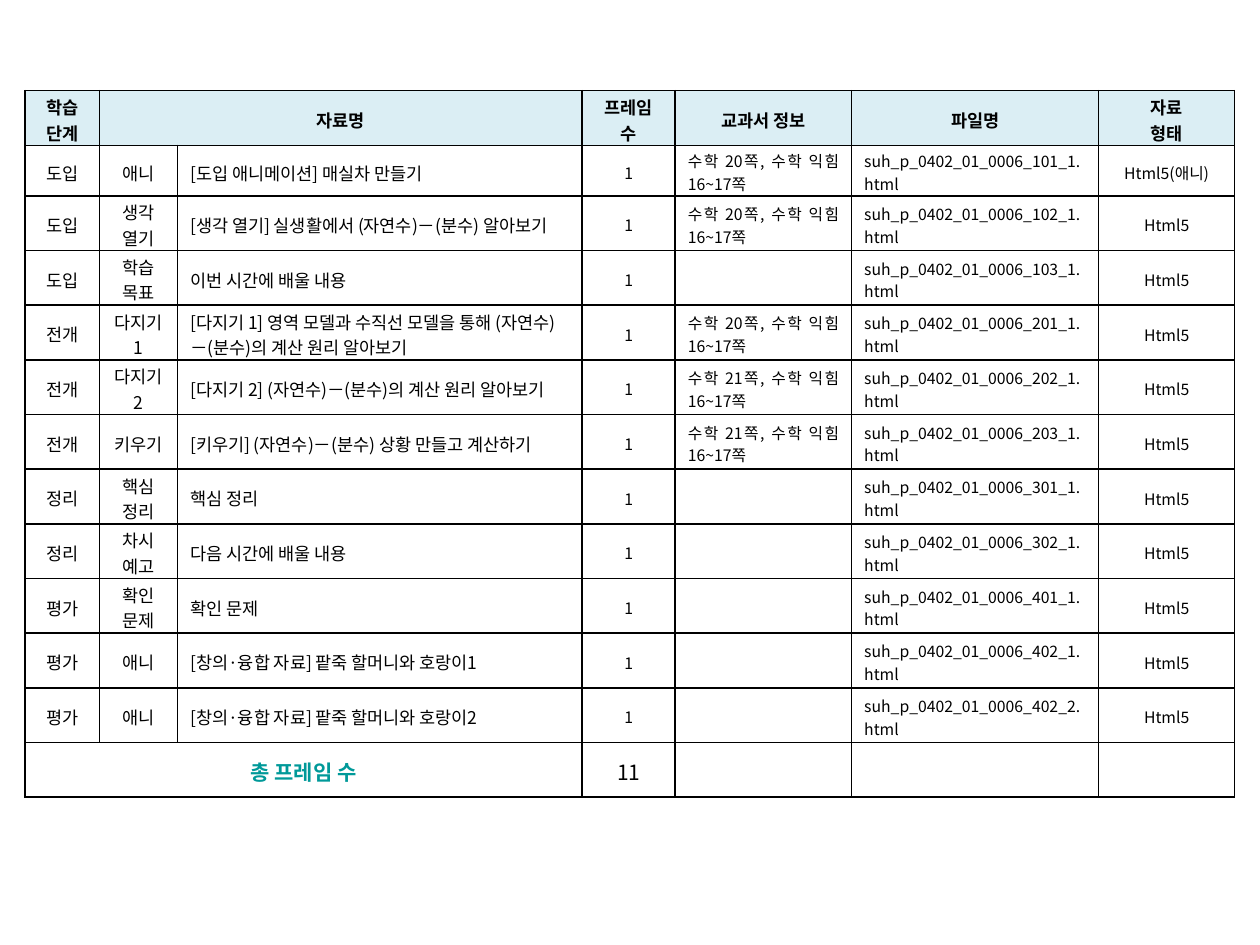
from pptx import Presentation, util as u
from pptx.dml.color import RGBColor
from pptx.enum import text as t
from pptx.oxml import parse_xml
from pptx.oxml.ns import nsdecls

theme = dict(font="Noto Sans CJK KR", ink="000000", teal="009999", head="DBEEF4",
             small=9, base=10, big=12, line=1)
mid, left, just = t.PP_ALIGN.CENTER, t.PP_ALIGN.LEFT, t.PP_ALIGN.JUSTIFY
aligns = [mid, mid, left, mid, just, just, mid]
cols = [0.59, 0.62, 3.21, 0.74, 1.4, 1.96, 1.08]
high, low = 5.61, 0.4

heads = ["학습 단계", "자료명", "", "프레임 수", "교과서 정보", "파일명", "자료\n형태"]
items = [
    ("도입", "애니", "[도입 애니메이션] 매실차 만들기", 20, "101_1"),
    ("도입", "생각 열기", "[생각 열기] 실생활에서 (자연수)－(분수) 알아보기", 20, "102_1"),
    ("도입", "학습 목표", "이번 시간에 배울 내용", None, "103_1"),
    ("전개", "다지기 1",
     "[다지기 1] 영역 모델과 수직선 모델을 통해 (자연수)－(분수)의 계산 원리 알아보기", 20, "201_1"),
    ("전개", "다지기 2", "[다지기 2] (자연수)－(분수)의 계산 원리 알아보기", 21, "202_1"),
    ("전개", "키우기", "[키우기] (자연수)－(분수) 상황 만들고 계산하기", 21, "203_1"),
    ("정리", "핵심 정리", "핵심 정리", None, "301_1"),
    ("정리", "차시 예고", "다음 시간에 배울 내용", None, "302_1"),
    ("평가", "확인 문제", "확인 문제", None, "401_1"),
    ("평가", "애니", "[창의·융합 자료] 팥죽 할머니와 호랑이1", None, "402_1"),
    ("평가", "애니", "[창의·융합 자료] 팥죽 할머니와 호랑이2", None, "402_2"),
]
rows = [heads]
for step, part, name, page, code in items:
    book = f"수학 {page}쪽, 수학 익힘 16~17쪽" if page else ""
    kind = "Html5" if len(rows) > 1 else "Html5(애니)"
    rows.append([step, part, name, "1", book, f"suh_p_0402_01_0006_{code}.html", kind])
rows.append(["총 프레임 수", "", "", str(len(items)), "", "", ""])
last = len(rows) - 1


def edge(cell):
    props = cell._tc.get_or_add_tcPr()
    for i, side in enumerate("LRTB"):
        props.insert(i, parse_xml(
            f'<a:ln{side} {nsdecls("a")} w="{u.Pt(theme["line"])}"><a:solidFill>'
            f'<a:srgbClr val="{theme["ink"]}"/></a:solidFill></a:ln{side}>'))


def write(cell, words, align, size, bold, ink):
    cell.text = words
    for para in cell.text_frame.paragraphs:
        para.alignment = align
        for run in para.runs:
            form = dict(name=theme["font"], size=u.Pt(size), bold=bold)
            for key, val in form.items():
                setattr(run.font, key, val)
            run.font.color.rgb = RGBColor.from_string(ink)
            run._r.get_or_add_rPr().find("{*}latin").addnext(
                parse_xml(f'<a:ea {nsdecls("a")} typeface="{theme["font"]}"/>'))


deck = Presentation()
deck.slide_width, deck.slide_height = u.Inches(10), u.Inches(7.5)
slide = deck.slides.add_slide(deck.slide_layouts[6])
grid = slide.shapes.add_table(len(rows), len(cols), u.Inches(0.2), u.Inches(0.72),
                              u.Inches(sum(cols)), u.Inches(high)).table
grid.first_row = grid.horz_banding = False
for col, wide in zip(grid.columns, cols):
    col.width = u.Inches(wide)
for r, row in enumerate(grid.rows):
    row.height = u.Inches(low if r == 1 else (high - low) / last)

pads = dict(margin_left=u.Inches(0.1), margin_right=u.Inches(0.1),
            margin_top=u.Inches(0.03), margin_bottom=0,
            vertical_anchor=t.MSO_ANCHOR.MIDDLE)
for r, row in enumerate(rows):
    for c, words in enumerate(row):
        cell = grid.cell(r, c)
        for key, val in pads.items():
            setattr(cell, key, val)
        if r == 0:
            cell.fill.solid()
            cell.fill.fore_color.rgb = RGBColor.from_string(theme["head"])
        else:
            cell.fill.background()
        edge(cell)
        if words:
            size = theme["big" if r == last else "base" if r == 0 or c < 3 else "small"]
            total = r == last and c == 0
            write(cell, words, mid if r in (0, last) else aligns[c], size,
                  r == 0 or total, theme["teal" if total else "ink"])

grid.cell(0, 1).merge(grid.cell(0, 2))
grid.cell(last, 0).merge(grid.cell(last, 2))
deck.save("out.pptx")
